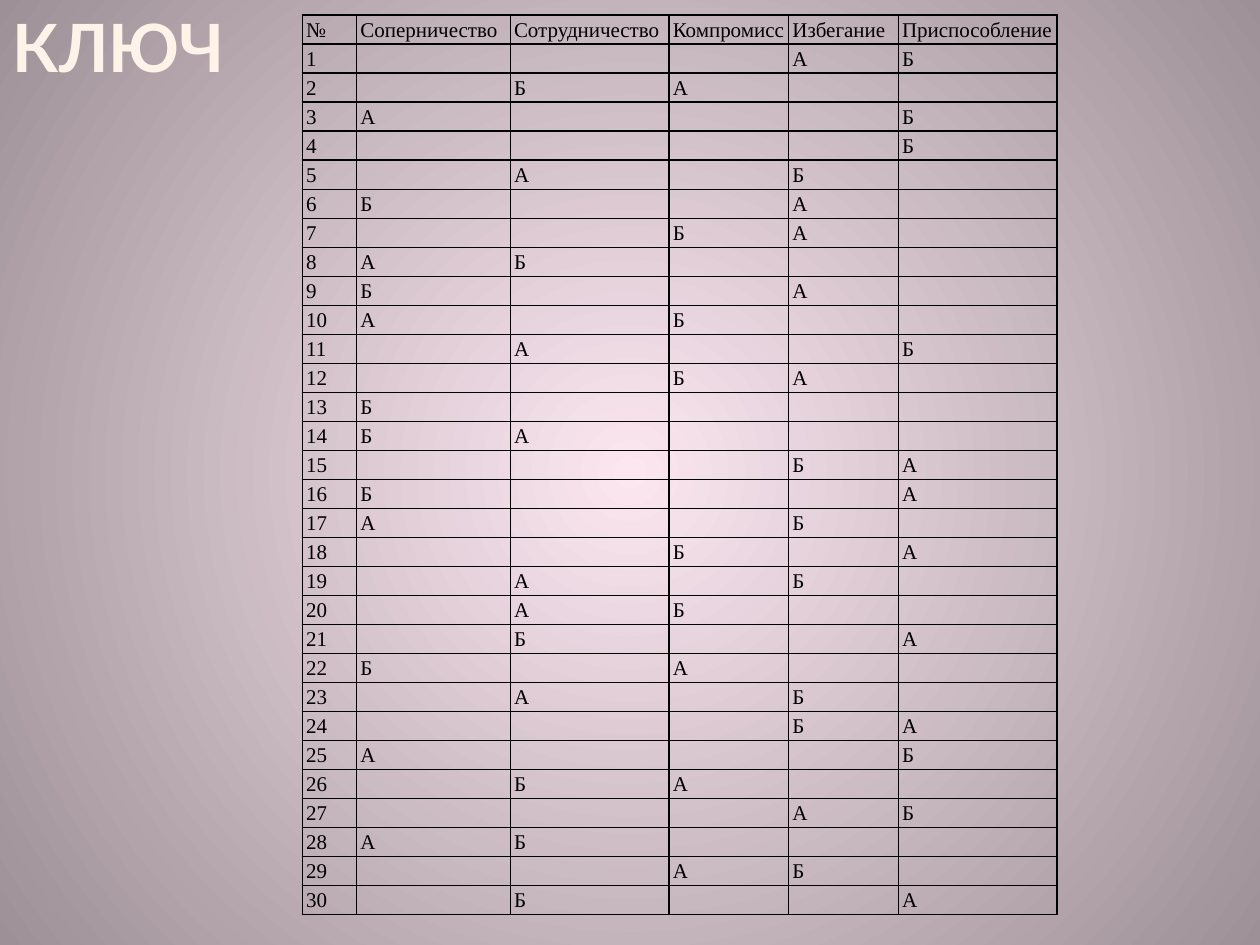
from lxml import etree
from pptx import Presentation
from pptx.dml.color import RGBColor
from pptx.enum.text import MSO_ANCHOR
from pptx.oxml.ns import qn
from pptx.util import Inches, Pt

TOP = MSO_ANCHOR.TOP
BLACK = RGBColor(0x00, 0x00, 0x00)
CREAM = RGBColor(0xFE, 0xF3, 0xE8)
PALE = RGBColor(0xFE, 0xF7, 0xF1)
PEACH = RGBColor(0xFB, 0xCF, 0x9C)
GOLD = RGBColor(0xF9, 0xB9, 0x4C)
PLUM = RGBColor(0x5E, 0x1A, 0x50)
PINK = RGBColor(0xFC, 0xE7, 0xF1)
GREY = RGBColor(0x9D, 0x90, 0x96)

BACK = [(0, PINK), (100, GREY)]
SHEEN = [(0, PALE), (10, CREAM), (49, PEACH), (50, GOLD), (100, CREAM)]

HEAD = ["№", "Соперничество", "Сотрудничество", "Компромисс",
        "Избегание", "Приспособление"]
WIDTHS = [0.43, 1.22, 1.26, 0.95, 0.87, 1.26]
ROW = 0.23
# One word per question, one sign per style; a dot is an empty cell.
KEY = """
...АБ .БА.. А...Б ....Б .А.Б. Б..А. ..БА. АБ... Б..А. А.Б..
.А..Б ..БА. Б.... БА... ...БА Б...А А..Б. ..Б.А .А.Б. .АБ..
.Б..А Б.А.. .А.Б. ...БА А...Б .БА.. ...АБ АБ... ..АБ. .Б..А
""".split()


def add(parent, tag, **attrs):
    node = etree.SubElement(parent, qn(tag))
    for name, value in attrs.items():
        node.set(name, str(value))
    return node


def tint(parent, color):
    add(add(parent, "a:solidFill"), "a:srgbClr", val=color)


def blend(parent, stops, angle=None):
    """Turn the solid fill in parent into a gradient, round if no angle."""
    old = parent.find(qn("a:solidFill"))
    grad = etree.Element(qn("a:gradFill"), rotWithShape="1")
    row = add(grad, "a:gsLst")
    for pos, color in stops:
        add(add(row, "a:gs", pos=pos * 1000), "a:srgbClr", val=color)
    if angle is None:
        ring = add(grad, "a:path", path="circle")
        add(ring, "a:fillToRect", l=50000, t=50000, r=50000, b=50000)
    else:
        add(grad, "a:lin", ang=angle * 60000, scaled=0)
    parent.replace(old, grad)


def write(frame, text, font, size, color, bold=False, space=None):
    para = frame.paragraphs[0]
    para.line_spacing = space
    if not text:
        # Keeps an empty cell as low as a filled one.
        add(para._p, "a:endParaRPr", sz=size * 100)
        return None
    run = para.add_run()
    run.text = text
    run.font.name = font
    run.font.size = Pt(size)
    run.font.bold = bold
    run.font.color.rgb = color
    return run


class Page:
    title_font = "Lato"
    font = "Times New Roman"

    def __init__(self, deck):
        self.slide = deck.slides.add_slide(deck.slide_layouts[6])

    def back(self, stops):
        fill = self.slide.background.fill
        fill.solid()
        fill.fore_color.rgb = stops[0][1]
        blend(self.slide._element.find(".//" + qn("p:bgPr")), stops)

    def title(self, text, x, y, w, h):
        box = self.slide.shapes.add_textbox(
            Inches(x), Inches(y), Inches(w), Inches(h))
        frame = box.text_frame
        frame.word_wrap = True
        frame.vertical_anchor = TOP
        run = write(frame, text, self.title_font, 38, CREAM, bold=True)
        props = run._r.get_or_add_rPr()
        blend(props, SHEEN, angle=90)
        line = add(props, "a:ln", w=500)
        tint(line, PLUM)
        props.insert(0, line)

    def cell(self, cell, text):
        cell.margin_left = cell.margin_right = Inches(0.03)
        cell.margin_top = cell.margin_bottom = 0
        cell.vertical_anchor = TOP
        write(cell.text_frame, text, self.font, 12, BLACK, space=1.15)
        props = cell._tc.get_or_add_tcPr()
        for side in ("a:lnL", "a:lnR", "a:lnT", "a:lnB"):
            tint(add(props, side, w=Pt(1)), BLACK)
        cell.fill.background()

    def table(self, rows, x, y, widths, height):
        grid = self.slide.shapes.add_table(
            len(rows), len(widths), Inches(x), Inches(y),
            Inches(sum(widths)), Inches(height * len(rows))).table
        grid.first_row = grid.horz_banding = False
        for col, width in zip(grid.columns, widths):
            col.width = Inches(width)
        for line, words in zip(grid.rows, rows):
            line.height = Inches(height)
            for cell, word in zip(line.cells, words):
                self.cell(cell, word)


def main():
    deck = Presentation()
    deck.slide_width, deck.slide_height = Inches(10), Inches(7.5)
    page = Page(deck)
    page.back(BACK)
    page.title("КЛЮЧ", 0, 0, 7.92, 0.84)
    rows = [HEAD]
    for num, marks in enumerate(KEY, 1):
        rows.append([str(num)] + [mark.strip(".") for mark in marks])
    page.table(rows, 2.4, 0.12, WIDTHS, ROW)
    deck.save("out.pptx")


if __name__ == "__main__":
    main()
